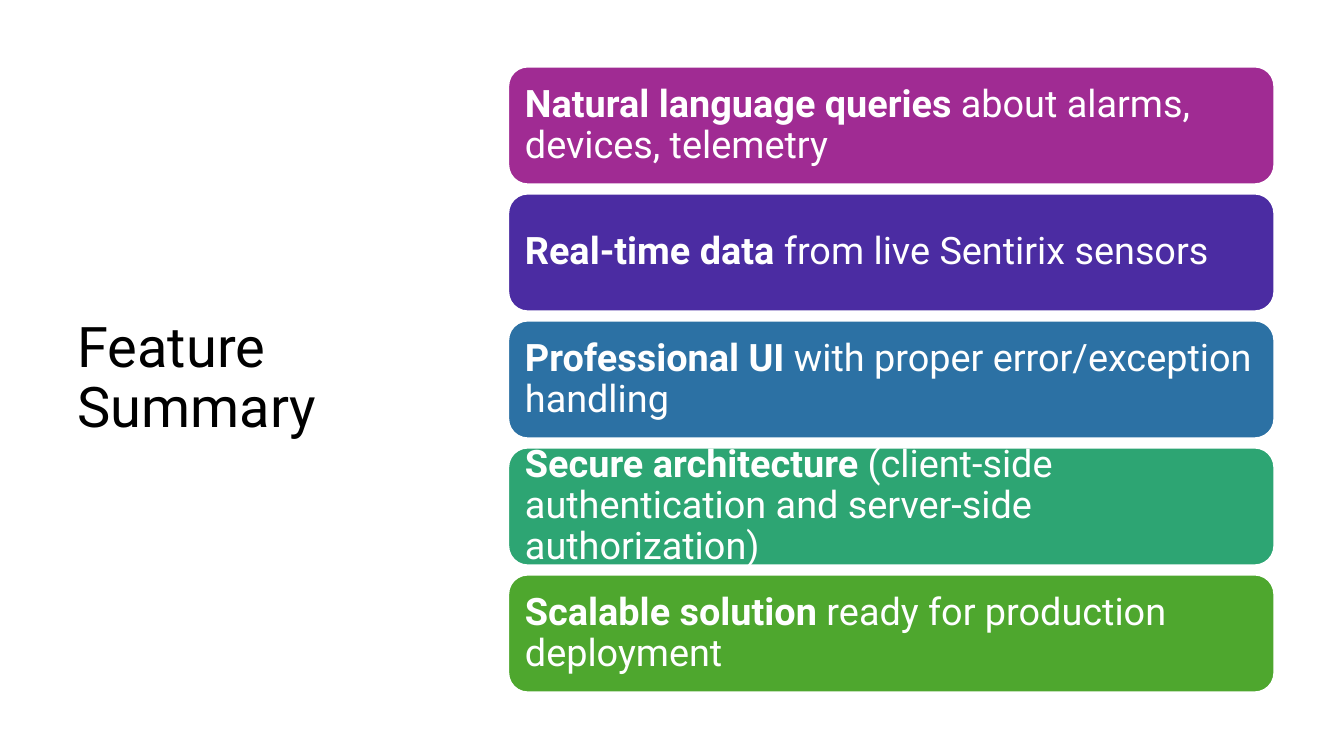
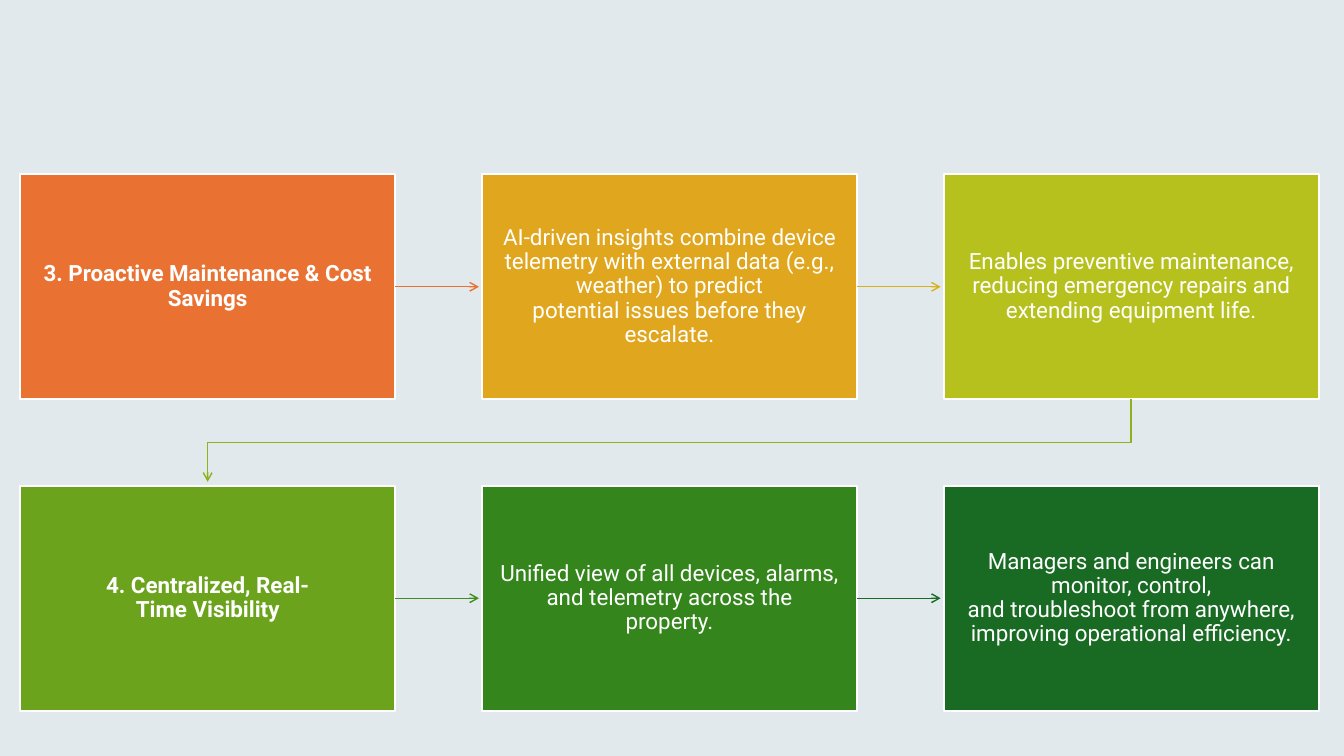
import pptx
import pptx.dml.color
import pptx.enum.shapes
import pptx.enum.text
import pptx.oxml
import pptx.oxml.ns
import pptx.util
import lxml.etree

RGBColor = pptx.dml.color.RGBColor
Align = pptx.enum.text.PP_ALIGN
Anchor = pptx.enum.text.MSO_ANCHOR
Preset = pptx.enum.shapes.MSO_SHAPE

# Shared style: 100 px to the inch
PX = 9144
SLIDE_W, SLIDE_H = 1333, 750
FONT = "Roboto"
WHITE = RGBColor(0xFF, 0xFF, 0xFF)
BLACK = RGBColor(0x00, 0x00, 0x00)
PALE_GREY = RGBColor(0xF2, 0xF2, 0xF2)
TINT_BLUE = RGBColor(0x0B, 0x76, 0xA0)
RIGHT_SIDE = 3

# In the wording below, ~ marks a no-break space
NO_BREAK_SPACE = chr(160)

# Feature cards: colour, bold lead, rest of the sentence
FEATURES = [
    (RGBColor(0xA0, 0x2B, 0x93), "Natural language queries", "~about alarms, devices, telemetry"),
    (RGBColor(0x4B, 0x2C, 0xA2), "Real-time data", "~from live Sentirix sensors"),
    (RGBColor(0x2C, 0x71, 0xA4), "Professional UI", "~with proper error/exception handling"),
    (RGBColor(0x2D, 0xA5, 0x73), "Secure~architecture",
     "~(client-side authentication and server-side authorization)"),
    (RGBColor(0x4E, 0xA7, 0x2E), "Scalable solution", "~ready for production deployment"),
]

# Benefit steps by row: box colour, text
BENEFITS = [
    [
        (RGBColor(0xE9, 0x71, 0x32), "3. Proactive~Maintenance~& Cost Savings"),
        (RGBColor(0xE0, 0xA6, 0x1D),
         "AI-driven~insights combine device telemetry with~external data~(e.g., weather) "
         "to~predict potential~issues~before they escalate."),
        (RGBColor(0xB7, 0xC1, 0x1E),
         "Enables preventive maintenance, reducing~emergency repairs and "
         "extending~equipment~life."),
    ],
    [
        (RGBColor(0x6B, 0xA3, 0x1D), "4. Centralized, Real-Time~Visibility"),
        (RGBColor(0x34, 0x86, 0x1C),
         "Unified view of~all devices, alarms, and telemetry across the property."),
        (RGBColor(0x19, 0x6B, 0x24),
         "Managers and engineers~can monitor, control, and~troubleshoot~from~anywhere, "
         "improving operational efficiency."),
    ],
]
ROW_ARROWS = [
    [RGBColor(0xE9, 0x71, 0x32), RGBColor(0xD8, 0xB1, 0x1D)],
    [RGBColor(0x40, 0x8E, 0x1C), RGBColor(0x19, 0x6B, 0x24)],
]
TURN_ARROW = RGBColor(0x8E, 0xB2, 0x1E)


def px(*lengths):
    return [pptx.util.Emu(length * PX) for length in lengths]


def write_text(shape, runs, size, color=WHITE, align=Align.LEFT, inset=(10, 5)):
    """Fill a shape with one paragraph made of (text, bold) runs."""
    frame = shape.text_frame
    frame.word_wrap = True
    frame.vertical_anchor = Anchor.MIDDLE
    frame.margin_left = frame.margin_right = px(inset[0])[0]
    frame.margin_top = frame.margin_bottom = px(inset[1])[0]
    paragraph = frame.paragraphs[0]
    paragraph.alignment = align
    paragraph.line_spacing = 0.9
    for text, bold in runs:
        run = paragraph.add_run()
        run.text = text.replace("~", NO_BREAK_SPACE)
        run.font.name = FONT
        run.font.size = pptx.util.Pt(size)
        run.font.bold = bold
        run.font.color.rgb = color


def add_panel(slide, preset, box, fill, outline=None):
    panel = slide.shapes.add_shape(preset, *px(*box))
    panel.shadow.inherit = False
    panel.fill.solid()
    panel.fill.fore_color.rgb = fill
    if outline is None:
        panel.line.fill.background()
    else:
        panel.line.color.rgb = outline
        panel.line.width = pptx.util.Pt(1.5)
    return panel


def set_opacity(panel, percent):
    color = panel.fill._xPr.find(".//" + pptx.oxml.ns.qn("a:srgbClr"))
    alpha = lxml.etree.SubElement(color, pptx.oxml.ns.qn("a:alpha"))
    alpha.set("val", str(percent * 1000))


def style_arrow(arrow, color):
    arrow.line.color.rgb = color
    arrow.line.width = pptx.util.Pt(1)
    properties = arrow._element.spPr
    outline = properties.find(pptx.oxml.ns.qn("a:ln"))
    lxml.etree.SubElement(outline, pptx.oxml.ns.qn("a:tailEnd")).set("type", "arrow")
    lxml.etree.SubElement(properties, pptx.oxml.ns.qn("a:effectLst"))


def add_row_arrow(slide, step, reach, color):
    """Arrow from the right side of a step towards the next one."""
    start_x, mid_y = step.left + step.width, step.top + step.height // 2
    arrow = slide.shapes.add_connector(
        pptx.enum.shapes.MSO_CONNECTOR.STRAIGHT,
        start_x, mid_y, start_x + px(reach)[0], mid_y)
    arrow.begin_connect(step, RIGHT_SIDE)
    style_arrow(arrow, color)


def add_turn_arrow(slide, points, color):
    """Open bent arrow through the given px points."""
    builder = slide.shapes.build_freeform(*points[0], scale=PX)
    builder.add_line_segments(points[1:], close=False)
    arrow = builder.convert_to_shape()
    arrow.fill.background()
    style_arrow(arrow, color)


def build_feature_summary(slide):
    title = slide.shapes.add_textbox(*px(67, 60, 382, 633))
    write_text(title, [("Feature Summary", False)], 40, color=BLACK)

    # Stack of cards
    left, top, width, height, pitch = 504, 66, 760, 117, 126
    for row, (fill, lead, rest) in enumerate(FEATURES):
        card = add_panel(slide, Preset.ROUNDED_RECTANGLE,
                         (left, top + row * pitch, width, height), fill, WHITE)
        write_text(card, [(lead, True), (rest, False)], 27, inset=(11, 11))


def build_benefits(slide):
    # Tinted backdrop
    full = (0, 0, SLIDE_W, SLIDE_H)
    add_panel(slide, Preset.RECTANGLE, full, PALE_GREY)
    set_opacity(add_panel(slide, Preset.RECTANGLE, full, TINT_BLUE), 7)

    # Grid of steps, each row led by a bold heading
    left, top, width, height = 20, 173, 372, 223
    pitch_x, pitch_y, reach = 458, 309, 83
    for row, steps in enumerate(BENEFITS):
        boxes = []
        for column, (fill, text) in enumerate(steps):
            place = (left + column * pitch_x, top + row * pitch_y, width, height)
            step = add_panel(slide, Preset.RECTANGLE, place, fill, WHITE)
            write_text(step, [(text, column == 0)], 16, align=Align.CENTER, inset=(18, 19))
            boxes.append(step)
        for step, color in zip(boxes, ROW_ARROWS[row]):
            add_row_arrow(slide, step, reach, color)

    # Turn from the end of the first row to the start of the second
    first_x = left + width // 2
    last_x = first_x + 2 * pitch_x
    row_end, next_row = top + height, top + pitch_y
    turn_y = (row_end + next_row) // 2
    add_turn_arrow(slide, [(last_x, row_end), (last_x, turn_y),
                           (first_x, turn_y), (first_x, next_row - 4)], TURN_ARROW)


def main():
    deck = pptx.Presentation()
    deck.slide_width, deck.slide_height = px(SLIDE_W, SLIDE_H)
    blank = deck.slide_layouts[6]
    for build in (build_feature_summary, build_benefits):
        build(deck.slides.add_slide(blank))
    deck.save("out.pptx")


if __name__ == "__main__":
    main()
